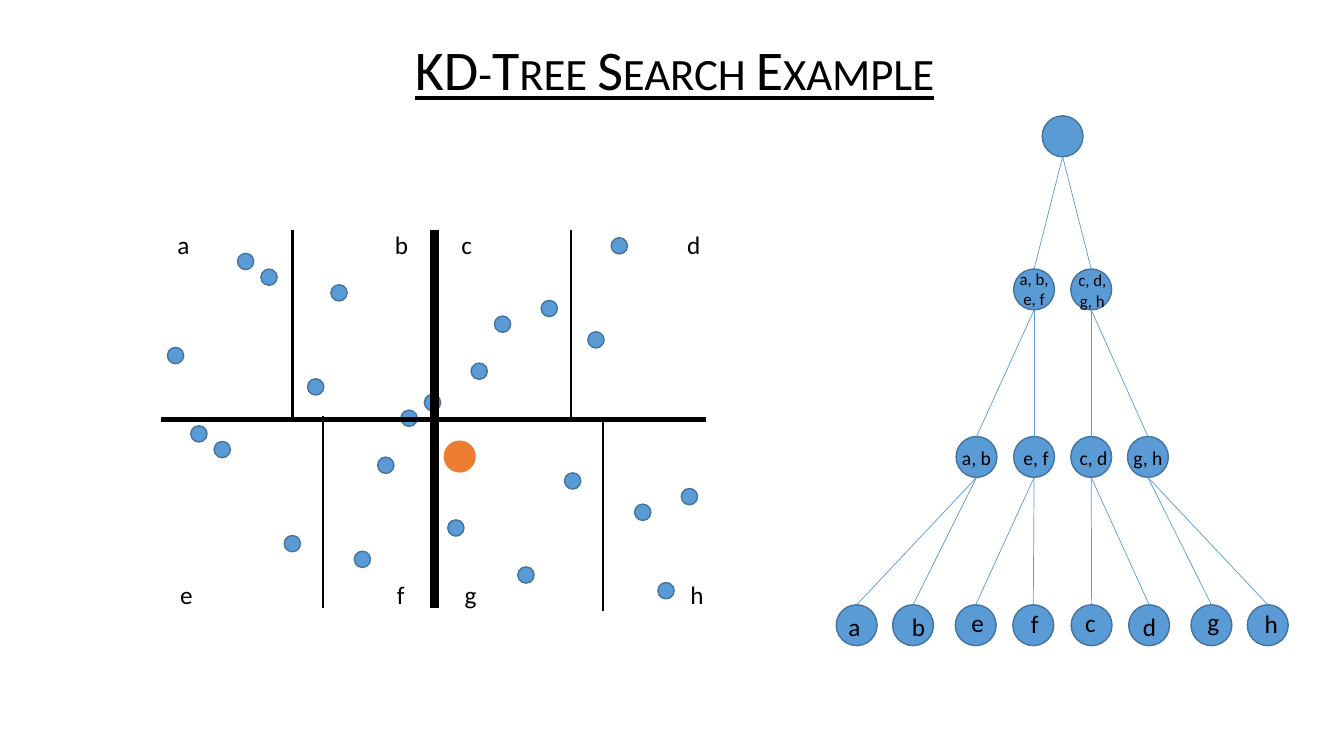
from lxml.etree import SubElement
from pptx import Presentation
from pptx.dml.color import RGBColor
from pptx.enum.shapes import MSO_CONNECTOR, MSO_SHAPE
from pptx.enum.text import MSO_ANCHOR, PP_ALIGN
from pptx.oxml.ns import qn
from pptx.util import Cm, Pt

BLACK = RGBColor(0x00, 0x00, 0x00)
BLUE = RGBColor(0x5B, 0x9B, 0xD5)
DARK_BLUE = RGBColor(0x43, 0x73, 0x9E)
ORANGE = RGBColor(0xED, 0x7D, 0x31)

FONT = "Calibri"
DOT_SIZE = 0.41
NODE_SIZE = 1.03
LETTER_WIDTHS = dict(a=0.81, b=0.86, c=0.79, d=0.86, e=0.84, f=0.71, g=0.81, h=0.86)

# Row of the dot in each successive column
DOT_ROWS = [7, 12, 13, 1, 2, 19, 9, 3, 20, 14, 11, 10,
            18, 8, 5, 21, 4, 15, 6, 0, 17, 22, 16]
DOT_LEFT, DOT_TOP = 4.22, 5.99
DOT_SPAN_X, DOT_SPAN_Y = 12.95, 8.69

# Start x, start y, end x, end y, width in points
SPLITS = [
    (14.4, 5.79, 14.4, 10.62, 1.5),
    (10.95, 5.79, 10.95, 15.32, 6),
    (17.78, 10.57, 4.06, 10.57, 4),
    (15.19, 10.57, 15.19, 15.39, 1.5),
    (7.37, 5.79, 7.37, 10.62, 1.5),
    (8.15, 10.49, 8.15, 15.32, 1.5),
]

# Top and node centres of each tree level
LEVELS = [
    (2.92, [26.78]),
    (6.78, [26.06, 27.5]),
    (11, [24.61, 26.06, 27.5, 28.93]),
    (15.24, [21.59, 23.01, 24.59, 26.04, 27.51, 28.96, 30.53, 31.95]),
]

REGION_LETTERS = [
    ("a", 4.22, 5.66), ("b", 9.7, 5.66), ("c", 11.38, 5.66), ("d", 17.07, 5.66),
    ("e", 4.29, 14.48), ("f", 9.75, 14.48), ("g", 11.46, 14.48), ("h", 17.15, 14.48),
]
LEAF_LETTERS = [
    ("a", 21.13, 15.29), ("b", 22.73, 15.27), ("e", 24.23, 15.19), ("f", 25.73, 15.21),
    ("c", 27.1, 15.19), ("d", 28.55, 15.27), ("g", 30.18, 15.16), ("h", 31.62, 15.21),
]
# Text, left, top, height, size in points
GROUP_LABELS = [
    ("a, b, e, f", 25.35, 6.65, 1.27, 12), ("c, d, g, h", 26.82, 6.68, 1.27, 12),
    ("a, b", 23.9, 11.1, 0.86, 14), ("e, f", 25.4, 11.1, 0.86, 14),
    ("c, d", 26.85, 11.1, 0.86, 14), ("g, h", 28.22, 11.1, 0.86, 14),
]


def add_circle(page, left, top, size, fill, outline=None):
    circle = page.shapes.add_shape(
        MSO_SHAPE.OVAL, Cm(left), Cm(top), Cm(size), Cm(size))
    circle.shadow.inherit = False
    circle.fill.solid()
    circle.fill.fore_color.rgb = fill
    if outline is None:
        circle.line.fill.background()
    else:
        circle.line.color.rgb = outline
        circle.line.width = Pt(1)


def add_line(page, start_x, start_y, end_x, end_y, color, width):
    line = page.shapes.add_connector(
        MSO_CONNECTOR.STRAIGHT, Cm(start_x), Cm(start_y), Cm(end_x), Cm(end_y))
    line.line.color.rgb = color
    line.line.width = Pt(width)
    SubElement(line._element.spPr, qn("a:effectLst"))


def add_text(page, text, left, top, width, height, size, centred=True):
    """Add a one-paragraph box and return its paragraph; centred text wraps."""
    box = page.shapes.add_textbox(Cm(left), Cm(top), Cm(width), Cm(height))
    frame = box.text_frame
    frame.word_wrap = centred
    frame.vertical_anchor = MSO_ANCHOR.MIDDLE if centred else MSO_ANCHOR.TOP
    frame.text = text
    para = frame.paragraphs[0]
    para.alignment = PP_ALIGN.CENTER if centred else PP_ALIGN.LEFT
    font = para.runs[0].font
    font.name = FONT
    font.size = Pt(size)
    font.color.rgb = BLACK
    return para


def add_title(page):
    para = add_text(page, "KD-Tree Search Example", 4.5, 0.74, 25, 2.16, 40)
    para.line_spacing = 0.9
    span = para.runs[0]
    span.font.underline = True
    span._r.get_or_add_rPr().set("cap", "small")


def add_letters(page, letters):
    for letter, left, top in letters:
        add_text(page, letter, left, top, LETTER_WIDTHS[letter], 1.02, 18, centred=False)


def add_partition(page):
    """Draw the scattered dots and the lines that split the plane."""
    last = len(DOT_ROWS) - 1
    for column, row in enumerate(DOT_ROWS):
        add_circle(page, DOT_LEFT + column * DOT_SPAN_X / last,
                   DOT_TOP + row * DOT_SPAN_Y / last, DOT_SIZE, BLUE, DARK_BLUE)
    for *ends, width in SPLITS:
        add_line(page, *ends, BLACK, width)
    add_letters(page, REGION_LETTERS)


def add_tree(page):
    for top, centres in LEVELS:
        for centre in centres:
            add_circle(page, centre - NODE_SIZE / 2, top, NODE_SIZE, BLUE, DARK_BLUE)
    for (parent_top, parents), (child_top, children) in zip(LEVELS, LEVELS[1:]):
        for index, child in enumerate(children):
            add_line(page, parents[index // 2], parent_top + NODE_SIZE,
                     child, child_top, BLUE, 0.5)
    add_letters(page, LEAF_LETTERS)
    for text, left, top, height, size in GROUP_LABELS:
        add_text(page, text, left, top, 1.42, height, size)


def main():
    deck = Presentation()
    deck.slide_width, deck.slide_height = Cm(33.87), Cm(19.05)
    page = deck.slides.add_slide(deck.slide_layouts[6])
    add_title(page)
    add_partition(page)
    add_tree(page)
    add_circle(page, 11.18, 11.1, 0.81, ORANGE)
    deck.save("out.pptx")


if __name__ == "__main__":
    main()
